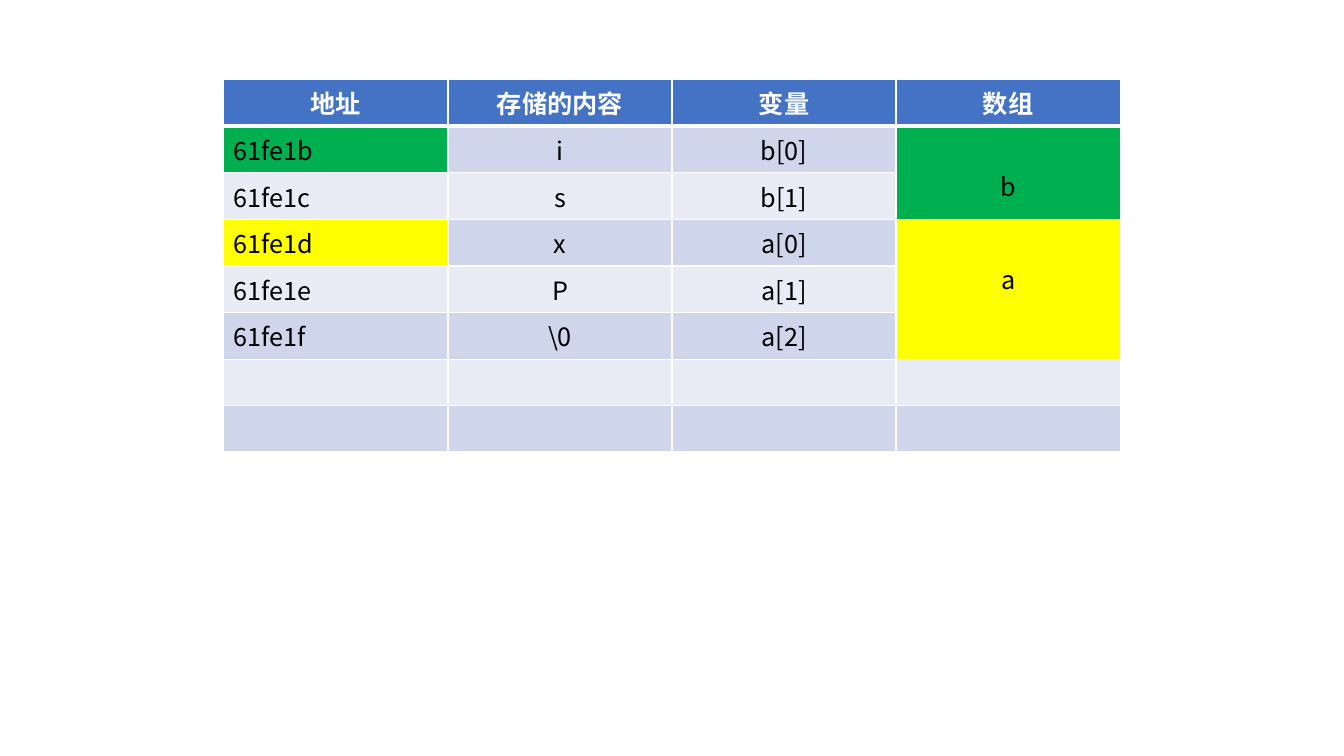
from lxml import etree
from pptx import Presentation
from pptx.dml.color import RGBColor
from pptx.enum.text import PP_ALIGN
from pptx.oxml.ns import qn
from pptx.util import Inches, Pt

COLORS = {"header": "4472C4", "band_dark": "CFD5EA", "band_light": "E9EBF5",
          "b": "00B050", "a": "FFFF00", "white": "FFFFFF", "black": "000000"}
FONT = "Noto Sans CJK SC"
HEADERS = ["地址", "存储的内容", "变量", "数组"]
MEMORY = [["61fe1b", "i", "b[0]"],
          ["61fe1c", "s", "b[1]"],
          ["61fe1d", "x", "a[0]"],
          ["61fe1e", "P", "a[1]"],
          ["61fe1f", "\\0", "a[2]"]]
EMPTY_ROWS = 2
ARRAYS = {"b": (1, 2), "a": (3, 5)}  # first and last table row of each array
ARRAY_COL = len(HEADERS) - 1
LINE_HEIGHT = 0.36


def add_borders(cell, bottom_width):
    """Draw white borders, ahead of the fill as the schema requires."""
    props = cell._tc.get_or_add_tcPr()
    widths = {"lnL": 1, "lnR": 1, "lnT": 1, "lnB": bottom_width}
    for index, (side, width) in enumerate(widths.items()):
        line = etree.Element(qn(f"a:{side}"), w=str(Pt(width)))
        fill = etree.SubElement(line, qn("a:solidFill"))
        etree.SubElement(fill, qn("a:srgbClr"), val=COLORS["white"])
        props.insert(index, line)


def write_text(cell, text, color, bold, align):
    """Write one formatted run with matching Latin and East Asian fonts."""
    paragraph = cell.text_frame.paragraphs[0]
    paragraph.alignment = align
    run = paragraph.add_run()
    run.text = text
    run.font.size = Pt(18)
    run.font.name = FONT
    run.font.bold = bold
    run.font.color.rgb = RGBColor.from_string(COLORS[color])
    etree.SubElement(run.font._element, qn("a:ea"), typeface=FONT)


def set_fill(cell, color):
    """Fill a cell with a named colour."""
    cell.fill.solid()
    cell.fill.fore_color.rgb = RGBColor.from_string(COLORS[color])


def add_memory_table(slide, left, top, width, height):
    """Build the table of addresses, contents, variables and arrays."""
    rows = [HEADERS] + MEMORY + [[]] * EMPTY_ROWS
    table = slide.shapes.add_table(
        len(rows), len(HEADERS), Inches(left), Inches(top),
        Inches(width), Inches(height)).table

    for row, texts in enumerate(rows):
        header = row == 0
        band = "header" if header else "band_dark" if row % 2 else "band_light"
        for col in range(len(HEADERS)):
            cell = table.cell(row, col)
            set_fill(cell, band)
            add_borders(cell, 3 if header else 1)
            if col < len(texts):
                left_aligned = col == 0 and not header
                write_text(cell, texts[col], "white" if header else "black", header,
                           PP_ALIGN.LEFT if left_aligned else PP_ALIGN.CENTER)

    for name, (first, last) in ARRAYS.items():
        set_fill(table.cell(first, 0), name)
        array_cell = table.cell(first, ARRAY_COL)
        array_cell.merge(table.cell(last, ARRAY_COL))
        set_fill(array_cell, name)
        array_cell.margin_top = Inches(0.05 + LINE_HEIGHT)
        write_text(array_cell, name, "black", False, PP_ALIGN.CENTER)


def main():
    """Create the slide and save it."""
    prs = Presentation()
    prs.slide_width, prs.slide_height = Inches(13.33), Inches(7.5)
    slide = prs.slides.add_slide(prs.slide_layouts[6])
    add_memory_table(slide, 2.22, 0.79, 8.89, 3.68)
    prs.save("out.pptx")


main()
